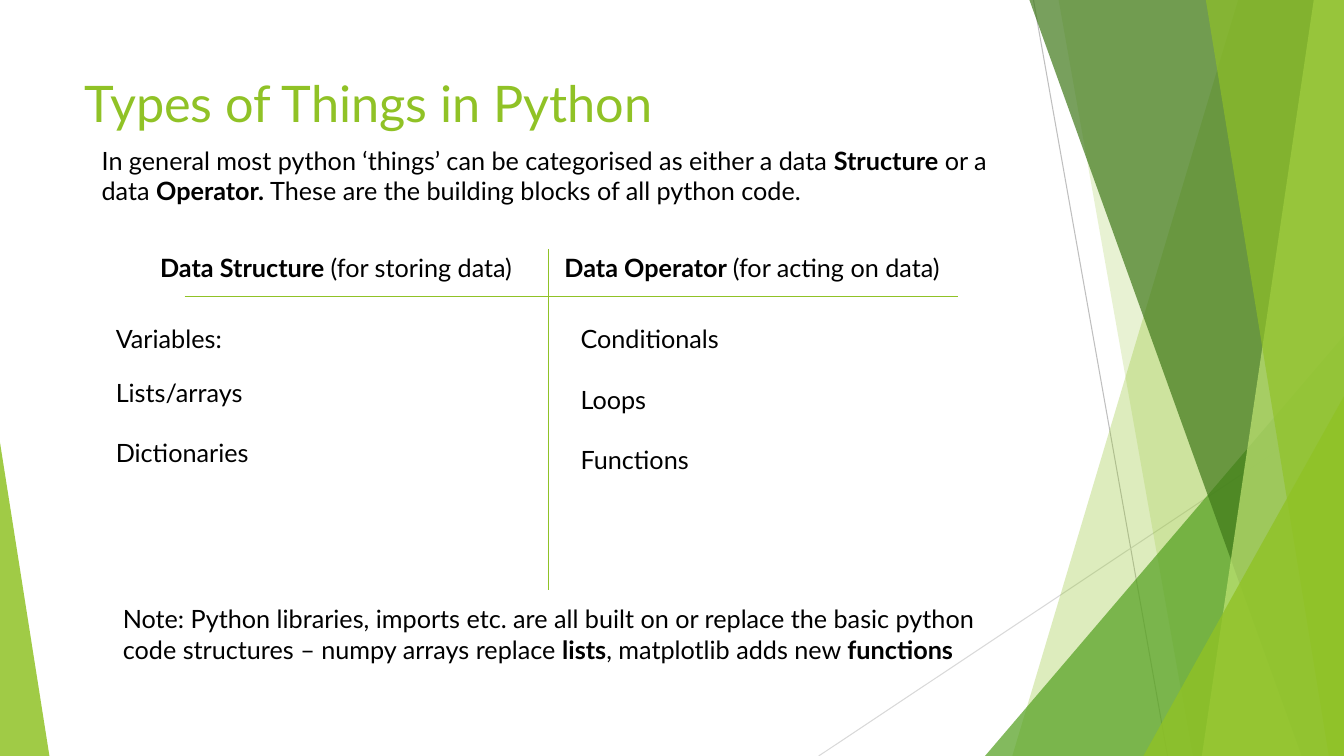
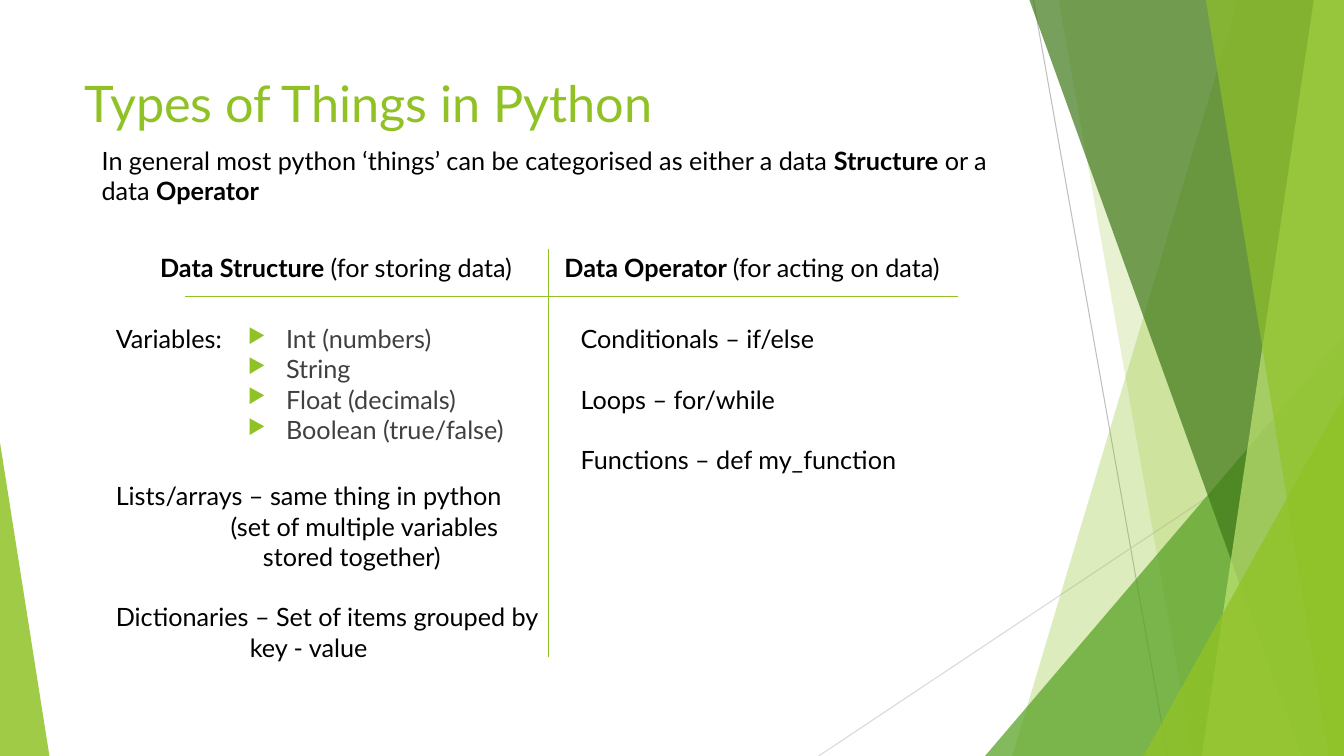
from lxml.etree import SubElement
from pptx import Presentation
from pptx.dml.color import RGBColor
from pptx.enum.shapes import MSO_CONNECTOR, MSO_SHAPE
from pptx.enum.text import MSO_ANCHOR, MSO_AUTO_SIZE, PP_ALIGN
from pptx.oxml.ns import qn
from pptx.util import Inches, Pt

COLORS = {
    "lime": "90C226", "green": "54A021", "forest": "3F7819", "pale": "C0E474",
    "silver": "BFBFBF", "mist": "D9D9D9", "black": "000000", "gray": "404040",
}
FONT = "Lato"
SIZE = 18
BLANK = 21.6
WIDTH, HEIGHT = 13.33, 7.5
DIVIDER_X = 5.44
TEXT_TOP = 3.16


def rgb(name):
    """Return the palette colour with this name."""
    return RGBColor.from_string(COLORS[name])


def add_line(s, start, end, color, width=1):
    """Draw a straight line between two points in inches."""
    ends = [Inches(v) for v in (*start, *end)]
    line = s.shapes.add_connector(MSO_CONNECTOR.STRAIGHT, *ends)
    line.line.color.rgb = rgb(color)
    line.line.width = Pt(width)
    SubElement(line._element.spPr, qn("a:effectLst"))


def fill_clear(sp, color, opacity):
    """Fill a shape with a partly transparent colour and no outline."""
    sp.shadow.inherit = False
    sp.line.fill.background()
    sp.fill.solid()
    sp.fill.fore_color.rgb = rgb(color)
    clr = sp._element.spPr.find(qn("a:solidFill"))[0]
    SubElement(clr, qn("a:alpha"), val=str(opacity * 1000))


def add_band(s, top_x, bottom_x, color, opacity):
    """Draw a slanted band that reaches the right edge of the slide."""
    corners = [(WIDTH, 0), (WIDTH, HEIGHT), (bottom_x, HEIGHT)]
    builder = s.shapes.build_freeform(Inches(top_x), 0)
    builder.add_line_segments([(Inches(x), Inches(y)) for x, y in corners])
    fill_clear(builder.convert_to_shape(), color, opacity)


def add_corner(s, x, y, width, apex, color, opacity):
    """Draw a right triangle that stands on the bottom edge."""
    box = [Inches(v) for v in (x, y, width, HEIGHT - y)]
    sp = s.shapes.add_shape(MSO_SHAPE.ISOSCELES_TRIANGLE, *box)
    sp.adjustments[0] = apex
    fill_clear(sp, color, opacity)


def add_backdrop(s):
    """Draw the facets shared by all slides."""
    add_line(s, (10.25, 0), (11.58, HEIGHT), "silver", 0.75)
    add_line(s, (WIDTH, 4.03), (8.12, HEIGHT), "mist", 0.75)
    add_band(s, 12.28, 10.04, "lime", 30)
    add_band(s, 10.5, 11.83, "lime", 20)
    add_corner(s, 9.77, 3.33, 3.56, 1, "green", 72)
    add_band(s, 10.21, 12.91, "forest", 70)
    add_band(s, 13.03, 11.92, "pale", 70)
    add_band(s, 11.96, 13.18, "lime", 65)
    add_corner(s, 11.34, 3.93, 1.99, 1, "lime", 80)
    add_corner(s, 0, 4.39, 0.49, 0, "lime", 85)


def write(p, text, size=SIZE, color="black", before=0, indent=0, bullet=False):
    """Write a paragraph in which ** switches bold on and off."""
    p.alignment = PP_ALIGN.LEFT
    p.space_before = Pt(before)
    pPr = p._p.get_or_add_pPr()
    pPr.set("marL", str(Inches(indent)))
    if bullet:
        pPr.set("indent", str(-Inches(indent)))
        clr = SubElement(pPr, qn("a:buClr"))
        SubElement(clr, qn("a:srgbClr"), val=COLORS["lime"])
        SubElement(pPr, qn("a:buSzPct"), val="80000")
        SubElement(pPr, qn("a:buChar"), char="▶")
    for i, part in enumerate(text.split("**")):
        if part:
            r = p.add_run()
            r.text = part
            r.font.name = FONT
            r.font.size = Pt(size)
            r.font.bold = i % 2 == 1
            r.font.color.rgb = rgb(color)


def add_text(s, x, y, width, height, lines, gap=0, **fmt):
    """Add a text box whose lines are strings or (string, format) pairs."""
    box = [Inches(v) for v in (x, y, width, height)]
    tf = s.shapes.add_textbox(*box).text_frame
    tf.word_wrap = True
    for i, line in enumerate(lines):
        text, own = (line, {}) if isinstance(line, str) else line
        p = tf.paragraphs[0] if i == 0 else tf.add_paragraph()
        write(p, text, **{"before": gap if i else 0, **fmt, **own})


def add_title(s, text):
    """Place and format the title placeholder."""
    title = s.shapes.title
    title.left, title.top = Inches(0.74), Inches(0.67)
    title.width, title.height = Inches(9.4), Inches(1.44)
    tf = title.text_frame
    tf.auto_size = MSO_AUTO_SIZE.NONE
    tf.vertical_anchor = MSO_ANCHOR.TOP
    write(tf.paragraphs[0], text, size=36, color="lime")


def add_types_slide(prs, intro_end, divider_bottom, operators):
    """Add a slide with the two-column frame and return it."""
    s = prs.slides.add_slide(prs.slide_layouts[5])
    add_backdrop(s)
    add_title(s, "Types of Things in Python")
    add_line(s, (DIVIDER_X, 2.47), (DIVIDER_X, divider_bottom), "lime")
    add_line(s, (1.83, 2.94), (9.5, 2.94), "lime")
    add_text(s, 0.91, 1.39, 9.59, 0.71, [
        "In general most python ‘things’ can be categorised as either a data **Structure** or a",
        intro_end,
    ])
    add_text(s, 1.49, 2.45, 3.95, 0.4, ["**Data Structure **(for storing data)"])
    add_text(s, 5.5, 2.45, 4.15, 0.4, ["**Data Operator **(for acting on data)"])
    add_text(s, 1.05, TEXT_TOP, 1.31, 0.4, ["Variables:"])
    add_text(s, 5.66, TEXT_TOP, 3.8, 1.62, operators, gap=BLANK)
    return s


def add_overview(prs):
    """Add the slide that names the types."""
    s = add_types_slide(
        prs, "data **Operator. **These are the building blocks of all python code.",
        5.85, ["Conditionals", "Loops", "Functions"])
    add_text(s, 1.05, 3.69, 1.54, 1.01, ["Lists/arrays", "Dictionaries"], gap=BLANK)
    add_text(s, 1.12, 5.94, 9.17, 0.71, [
        "Note: Python libraries, imports etc. are all built on or replace the basic python",
        "code structures – numpy arrays replace **lists**, matplotlib adds new **functions**",
    ])


def add_details(prs):
    """Add the slide that explains each type."""
    s = add_types_slide(
        prs, "data **Operator**", 6.52,
        ["Conditionals – if/else", "Loops – for/while", "Functions – def my_function"])
    add_text(s, 2.36, TEXT_TOP, 2.93, 1.3,
             ["Int (numbers)", "String", "Float (decimals)", "Boolean (true/false)"],
             color="gray", indent=0.38, bullet=True)
    add_text(s, 1.05, 4.72, 4.48, 1.92, [
        "Lists/arrays – same thing in python",
        ("(set of multiple variables", {"indent": 1.14}),
        ("stored together)", {"indent": 1.46}),
        ("Dictionaries – Set of items grouped by", {"before": BLANK}),
        ("key - value", {"indent": 1.33}),
    ])


def main():
    """Build and save the presentation."""
    prs = Presentation()
    prs.slide_width, prs.slide_height = Inches(WIDTH), Inches(HEIGHT)
    add_overview(prs)
    add_details(prs)
    prs.save("out.pptx")


if __name__ == "__main__":
    main()
